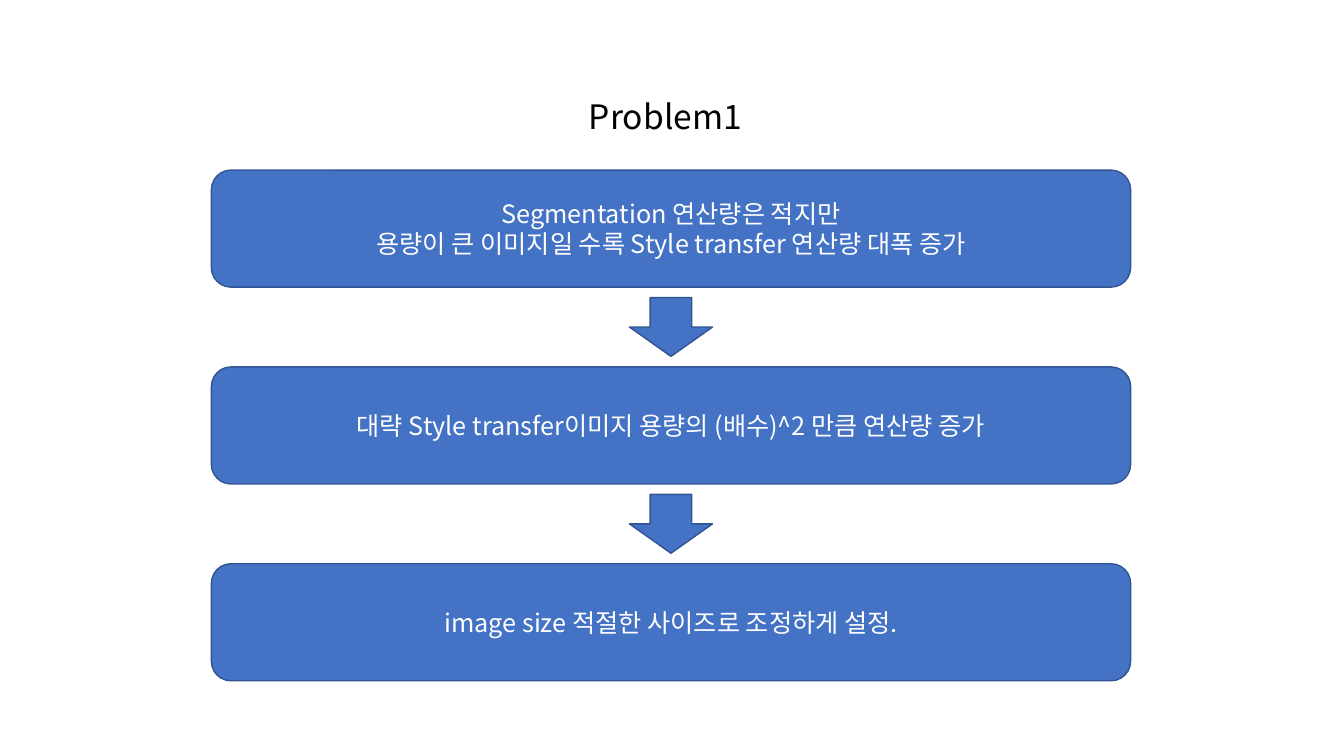
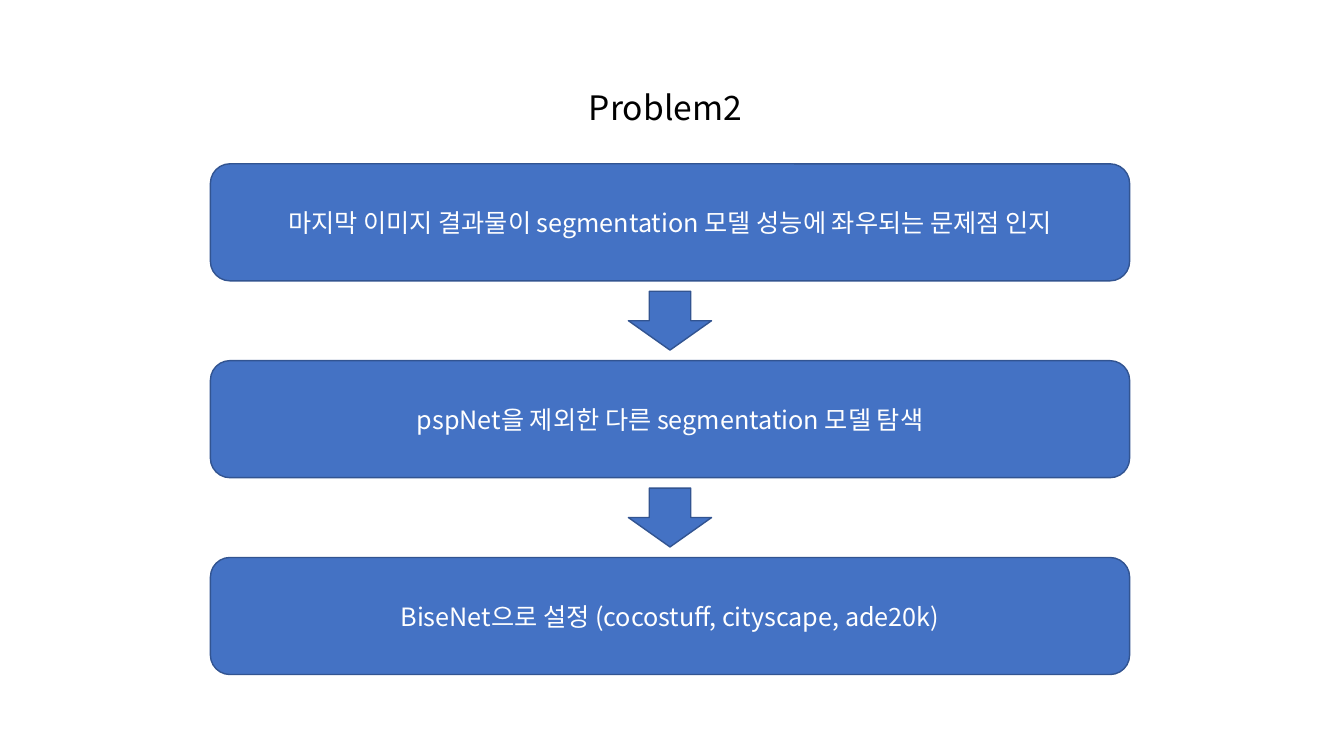
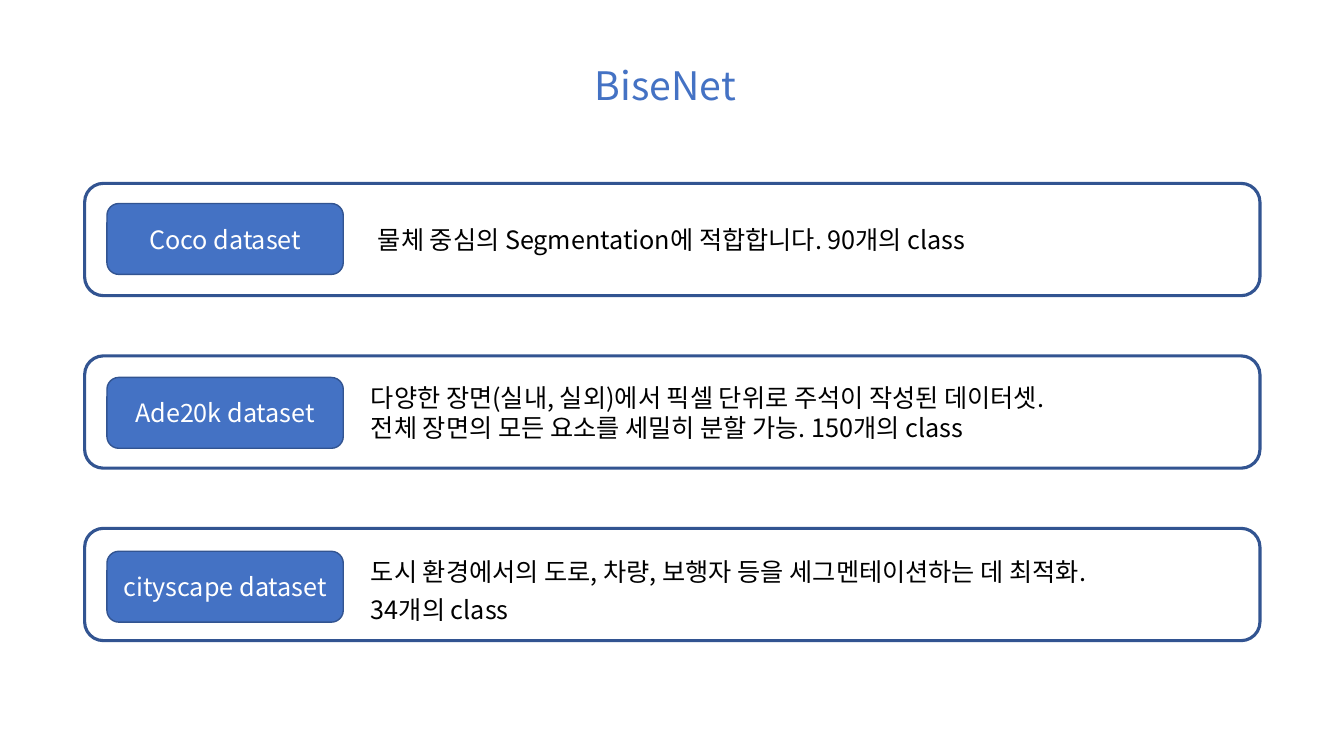
from dataclasses import dataclass

from lxml import etree
from pptx import Presentation
from pptx.dml.color import RGBColor
from pptx.enum.shapes import MSO_SHAPE
from pptx.enum.text import MSO_ANCHOR, MSO_AUTO_SIZE, PP_ALIGN
from pptx.oxml.ns import qn
from pptx.util import Pt

ROUNDED = MSO_SHAPE.ROUNDED_RECTANGLE
DOWN_ARROW = MSO_SHAPE.DOWN_ARROW
MIDDLE = MSO_ANCHOR.MIDDLE
GROW = MSO_AUTO_SIZE.SHAPE_TO_FIT_TEXT
LEFT, CENTER = PP_ALIGN.LEFT, PP_ALIGN.CENTER

FONT = "Noto Sans CJK KR"
BLUE, NAVY, WHITE, BLACK = "4472C4", "325491", "FFFFFF", "000000"
BODY_SIZE = 18
SLIDE_W, SLIDE_H = 960, 540
TITLE_LEFT, TITLE_W = 248.5, 453.6

STEP_W, STEP_H, STEP_PITCH = 656.6, 83.6, 140.6
ARROW_W, ARROW_H = 59.4, 42

FRAME_LEFT, FRAME_TOP, FRAME_W, FRAME_H, FRAME_PITCH = 60.5, 131, 839.5, 80.2, 123.2
LABEL_LEFT, LABEL_TOP, LABEL_W, LABEL_H, LABEL_PITCH = 76.4, 145.4, 168.8, 50.6, 124.2
NOTE_W = 610


@dataclass
class Box:
    left: float
    top: float
    width: float
    height: float

    def lengths(self) -> tuple:
        return Pt(self.left), Pt(self.top), Pt(self.width), Pt(self.height)


@dataclass
class Flow:
    """A titled column of steps, linked by arrows."""
    title: str
    title_top: float
    left: float
    top: float
    steps: list[str]


@dataclass
class Dataset:
    name: str
    note: str
    note_left: float
    note_drop: float = 0
    line_gap: float = 0


FLOWS = [
    Flow("Problem1", 64.8, 151, 121.5, [
        "Segmentation 연산량은 적지만\n용량이 큰 이미지일 수록 Style transfer 연산량 대폭 증가",
        "대략 Style transfer이미지 용량의 (배수)^2 만큼 연산량 증가",
        "image size 적절한 사이즈로 조정하게 설정.",
    ]),
    Flow("Problem2", 58.5, 150.3, 117, [
        "마지막 이미지 결과물이 segmentation 모델 성능에 좌우되는 문제점 인지",
        "pspNet을 제외한 다른 segmentation 모델 탐색",
        "BiseNet으로 설정 (cocostuff, cityscape, ade20k)",
    ]),
]

DATASETS = [
    Dataset("Coco dataset", "물체 중심의 Segmentation에 적합합니다. 90개의 class",
            262.8, note_drop=11.6),
    Dataset("Ade20k dataset",
            "다양한 장면(실내, 실외)에서 픽셀 단위로 주석이 작성된 데이터셋.\n"
            "전체 장면의 모든 요소를 세밀히 분할 가능. 150개의 class", 257.8),
    Dataset("cityscape dataset",
            "도시 환경에서의 도로, 차량, 보행자 등을 세그멘테이션하는 데 최적화.\n"
            "34개의 class", 257.8, line_gap=5.7),
]


def rgb(color: str) -> RGBColor:
    return RGBColor.from_string(color)


def write(tf, text: str, size: float, color: str, align, line_gap: float = 0) -> None:
    """Fill a text frame, one paragraph per line of text."""
    tf.word_wrap = True
    for i, line in enumerate(text.split("\n")):
        p = tf.add_paragraph() if i else tf.paragraphs[0]
        p.text = line
        p.alignment = align
        if i and line_gap:
            p.space_before = Pt(line_gap)
        p.font.size = Pt(size)
        p.font.name = FONT
        p.font.color.rgb = rgb(color)
        # Hangul takes its typeface from the East Asian font element.
        latin = p._p.find(".//" + qn("a:latin"))
        latin.addnext(etree.Element(qn("a:ea"), typeface=FONT))


def add_panel(shapes, kind, box: Box, text: str = "", fill: str = BLUE,
              line_width: float = 1) -> None:
    sp = shapes.add_shape(kind, *box.lengths())
    sp.shadow.inherit = False
    sp.fill.solid()
    sp.fill.fore_color.rgb = rgb(fill)
    sp.line.color.rgb = rgb(NAVY)
    sp.line.width = Pt(line_width)
    if text:
        sp.text_frame.vertical_anchor = MIDDLE
        write(sp.text_frame, text, BODY_SIZE, WHITE, CENTER)


def add_text(shapes, box: Box, text: str, size: float = BODY_SIZE, color: str = BLACK,
             align=LEFT, line_gap: float = 0) -> None:
    tf = shapes.add_textbox(*box.lengths()).text_frame
    write(tf, text, size, color, align, line_gap)
    tf.auto_size = GROW


def add_slide(prs, title: str, top: float, size: float = 24, color: str = BLACK):
    s = prs.slides.add_slide(prs.slide_layouts[6])
    add_text(s.shapes, Box(TITLE_LEFT, top, TITLE_W, size * 1.5), title, size, color, CENTER)
    return s


def add_flow_slide(prs, flow: Flow) -> None:
    s = add_slide(prs, flow.title, flow.title_top)
    arrow_left = flow.left + (STEP_W - ARROW_W) / 2
    arrow_drop = (STEP_H + STEP_PITCH - ARROW_H) / 2
    for i, step in enumerate(flow.steps):
        top = flow.top + i * STEP_PITCH
        add_panel(s.shapes, ROUNDED, Box(flow.left, top, STEP_W, STEP_H), step)
        if i < len(flow.steps) - 1:
            add_panel(s.shapes, DOWN_ARROW,
                      Box(arrow_left, top + arrow_drop, ARROW_W, ARROW_H))


def add_dataset_slide(prs) -> None:
    s = add_slide(prs, "BiseNet", 40.3, 28, BLUE)
    for i, dataset in enumerate(DATASETS):
        shapes = s.shapes.add_group_shape().shapes
        label_top = LABEL_TOP + i * LABEL_PITCH
        add_panel(shapes, ROUNDED,
                  Box(FRAME_LEFT, FRAME_TOP + i * FRAME_PITCH, FRAME_W, FRAME_H),
                  fill=WHITE, line_width=2.25)
        note_height = 7.2 + 22 * len(dataset.note.split("\n")) + dataset.line_gap
        add_text(shapes,
                 Box(dataset.note_left, label_top + dataset.note_drop, NOTE_W, note_height),
                 dataset.note, line_gap=dataset.line_gap)
        add_panel(shapes, ROUNDED, Box(LABEL_LEFT, label_top, LABEL_W, LABEL_H), dataset.name)


def main() -> None:
    prs = Presentation()
    prs.slide_width, prs.slide_height = Pt(SLIDE_W), Pt(SLIDE_H)
    for flow in FLOWS:
        add_flow_slide(prs, flow)
    add_dataset_slide(prs)
    prs.save("out.pptx")


if __name__ == "__main__":
    main()
